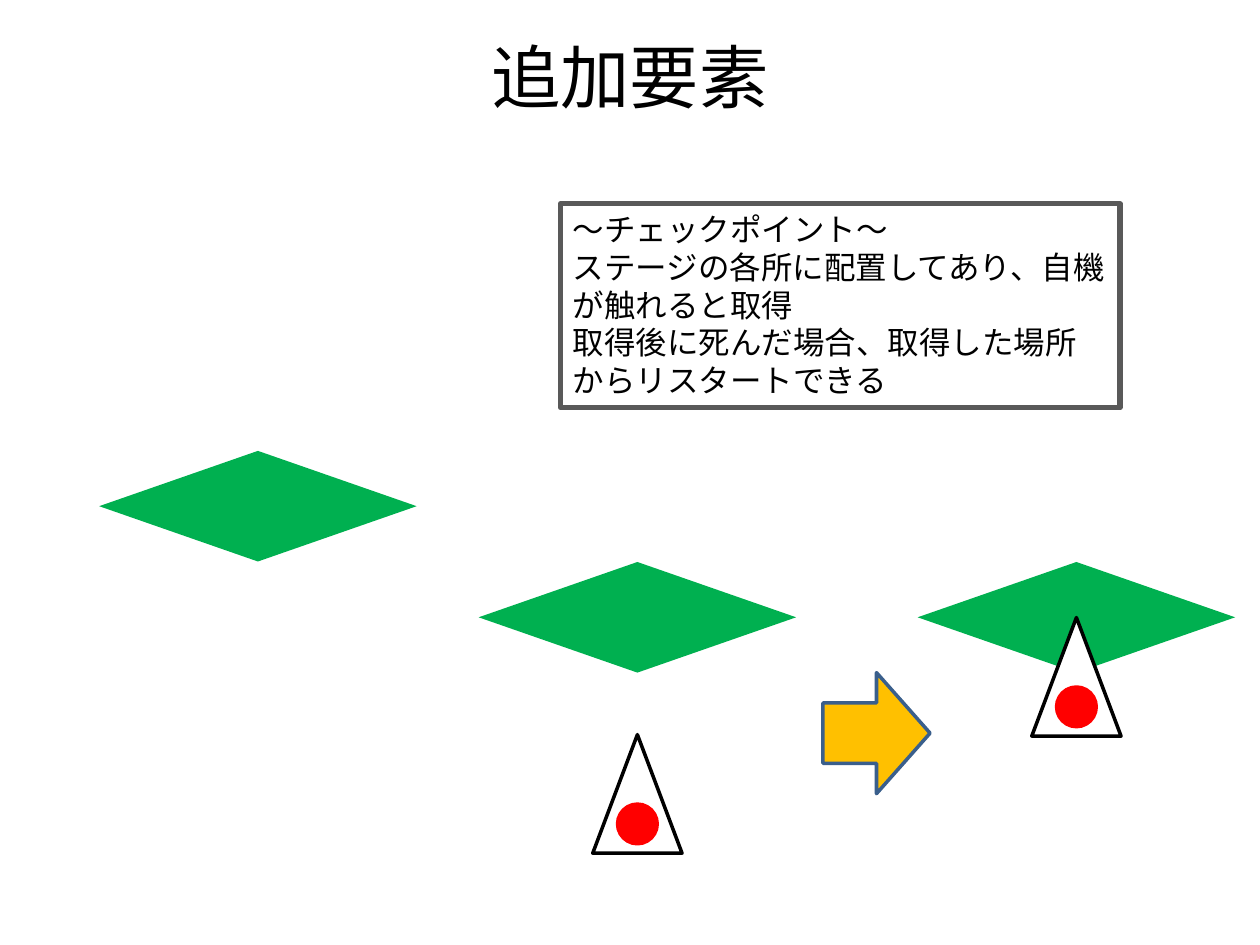
from dataclasses import dataclass

from pptx import Presentation
from pptx.dml.color import RGBColor
from pptx.enum import shapes, text
from pptx.util import Cm, Pt

MSO = shapes.MSO_SHAPE
ALIGN = text.PP_ALIGN
ANCHOR = text.MSO_ANCHOR


@dataclass(frozen=True)
class Theme:
    font: str = "Calibri"
    title: float = 39.6
    body: float = 18
    ink: str = "000000"
    paper: str = "FFFFFF"
    frame: str = "595959"
    platform: str = "00B050"
    core: str = "FF0000"
    arrow: str = "FFC000"
    arrow_line: str = "3A5F8C"


class Board:
    def __init__(self, s, theme):
        self.s = s
        self.theme = theme

    def shape(self, kind, box, fill=None, line=None, width=2, parent=None):
        sp = (parent or self.s).shapes.add_shape(kind, *map(Cm, box))
        sp.shadow.inherit = False
        for fmt, color in ((sp.fill, fill), (sp.line.fill, line)):
            if color:
                fmt.solid()
                fmt.fore_color.rgb = RGBColor.from_string(color)
            else:
                fmt.background()
        if line:
            sp.line.width = Pt(width)
        return sp

    def put_text(self, sp, lines, size, align, anchor):
        tf = sp.text_frame
        frame = {"word_wrap": True, "vertical_anchor": anchor}
        for name, value in frame.items():
            setattr(tf, name, value)
        font = {"name": self.theme.font, "size": Pt(size)}
        for i, line in enumerate(lines):
            p = tf.add_paragraph() if i else tf.paragraphs[0]
            p.alignment = align
            r = p.add_run()
            r.text = line
            for name, value in font.items():
                setattr(r.font, name, value)
            r.font.color.rgb = RGBColor.from_string(self.theme.ink)

    def title(self, box, line):
        sp = self.s.shapes.add_textbox(*map(Cm, box))
        self.put_text(sp, [line], self.theme.title, ALIGN.CENTER, ANCHOR.MIDDLE)

    def note(self, box, lines):
        sp = self.shape(MSO.RECTANGLE, box, line=self.theme.frame, width=3)
        self.put_text(sp, lines, self.theme.body, ALIGN.LEFT, ANCHOR.TOP)

    def platform(self, center, top):
        self.shape(MSO.DIAMOND, (center - 3.2, top, 6.4, 2.23), self.theme.platform)

    def ship(self, center, top):
        t = self.theme
        group = self.s.shapes.add_group_shape()
        self.shape(MSO.ISOSCELES_TRIANGLE, (center - 0.9, top, 1.8, 2.39),
                   t.paper, t.ink, parent=group)
        self.shape(MSO.OVAL, (center - 0.4, top + 1.4, 0.8, 0.8),
                   t.core, t.core, parent=group)

    def arrow(self, box):
        self.shape(MSO.RIGHT_ARROW, box, self.theme.arrow, self.theme.arrow_line)


prs = Presentation()
prs.slide_width, prs.slide_height = Cm(25.4), Cm(19.05)
board = Board(prs.slides.add_slide(prs.slide_layouts[6]), Theme())

board.title((1.27, 0.76, 22.86, 1.55), "追加要素")
board.note((11.3, 4.11, 11.28, 4.11), [
    "～チェックポイント～",
    "ステージの各所に配置してあり、自機が触れると取得",
    "取得後に死んだ場合、取得した場所からリスタートできる",
])
board.platform(5.2, 9.09)
for center, ship_top in ((12.85, 14.81), (21.7, 12.45)):
    board.platform(center, 11.33)
    board.ship(center, ship_top)
board.arrow((16.59, 13.56, 2.16, 2.44))

prs.save("out.pptx")
